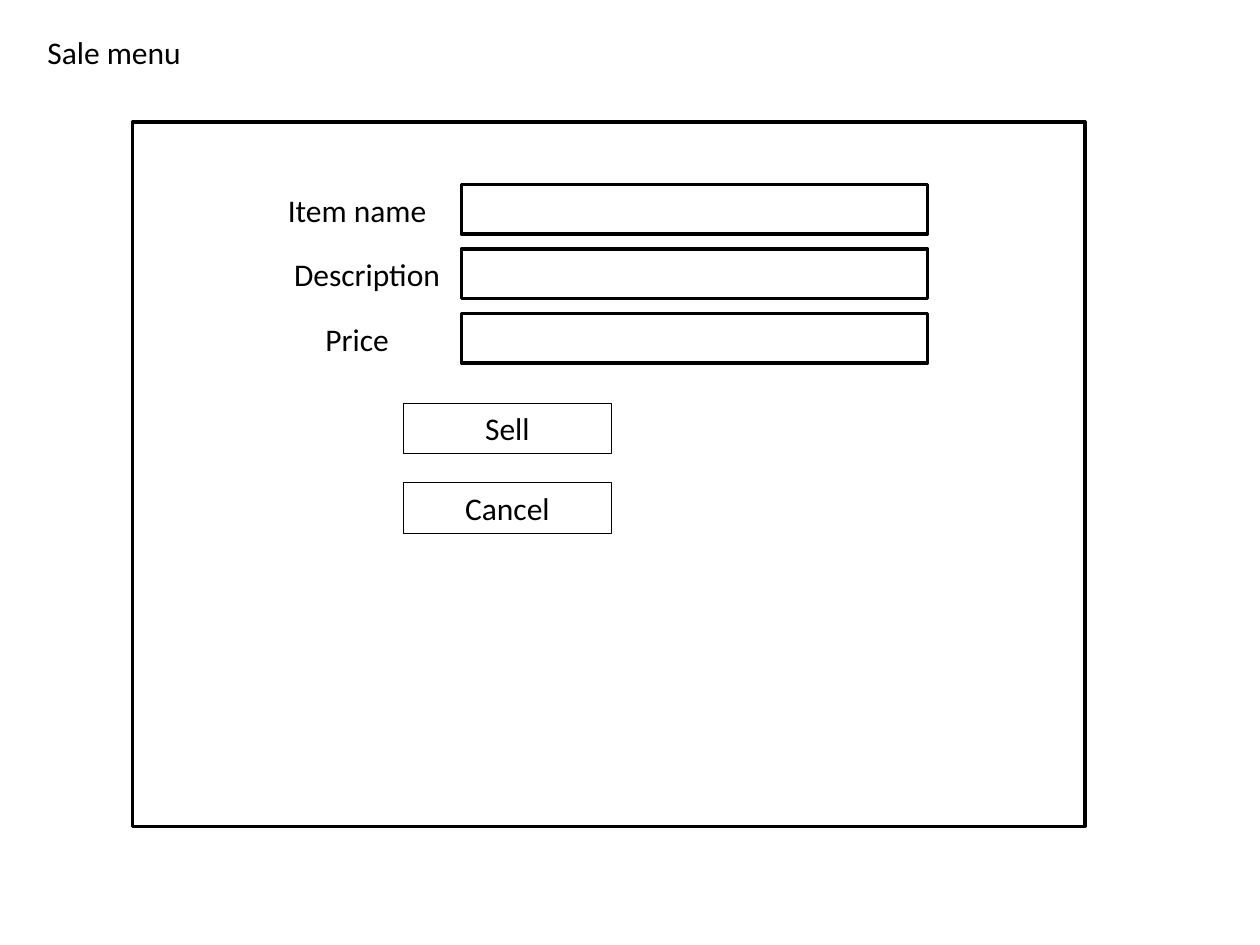
"""Build the wireframe slide of a sale menu."""
from dataclasses import dataclass

from pptx import Presentation
from pptx import util as u
from pptx.dml.color import RGBColor
from pptx.enum import shapes, text


@dataclass(frozen=True)
class Theme:
    """Colours, font and sizes shared by the slide."""
    ink: RGBColor = RGBColor(0, 0, 0)
    paper: RGBColor = RGBColor(255, 255, 255)
    font: str = "Calibri"
    size: u.Pt = u.Pt(18)
    heavy: u.Pt = u.Pt(2)
    thin: u.Pt = u.Pt(0.75)


THEME = Theme()
CENTER = text.PP_ALIGN.CENTER


def apply_format(target, values):
    """Set each named attribute on the target."""
    for name, value in values.items():
        setattr(target, name, value)


def lengths(box):
    """Turn centimetre numbers into lengths."""
    return [u.Cm(value) for value in box]


def write(holder, words, align, wrap=True):
    """Write one line of body text into a shape."""
    frame = holder.text_frame
    frame.text = words
    apply_format(frame, {
        "word_wrap": wrap,
        "auto_size": text.MSO_AUTO_SIZE.SHAPE_TO_FIT_TEXT,
        "vertical_anchor": text.MSO_ANCHOR.TOP,
    })
    line = frame.paragraphs[0]
    line.alignment = align
    font = line.runs[0].font
    apply_format(font, {"name": THEME.font, "size": THEME.size})
    font.color.rgb = THEME.ink


def set_title(slide, words, box):
    """Place and format the title placeholder."""
    heading = slide.shapes.title
    apply_format(heading, dict(zip(("left", "top", "width", "height"), lengths(box))))
    write(heading, words, text.PP_ALIGN.LEFT, wrap=False)


def add_panel(slide, box, weight, filled=True):
    """Draw an outlined rectangle."""
    panel = slide.shapes.add_shape(shapes.MSO_SHAPE.RECTANGLE, *lengths(box))
    panel.shadow.inherit = False
    if filled:
        panel.fill.solid()
        panel.fill.fore_color.rgb = THEME.paper
    else:
        panel.fill.background()
    panel.line.color.rgb = THEME.ink
    panel.line.width = weight
    return panel


def add_label(slide, words, box):
    """Add a centred field label."""
    write(slide.shapes.add_textbox(*lengths(box)), words, CENTER)


def add_button(slide, words, box):
    """Add a thinly outlined button with its caption."""
    write(add_panel(slide, box, THEME.thin, filled=False), words, CENTER)


def main():
    """Assemble and save the slide."""
    deck = Presentation()
    apply_format(deck, {"slide_width": u.Cm(25.4), "slide_height": u.Cm(19.05)})
    slide = deck.slides.add_slide(deck.slide_layouts[5])

    add_panel(slide, (2.67, 2.46, 19.2, 14.2), THEME.heavy)
    set_title(slide, "Sale menu", (0.7, 0.53, 3.23, 1.02))

    fields = (("Item name", 5.1), ("Description", 5.3), ("Price", 5.1))
    for row, (caption, left) in enumerate(fields):
        top = 3.72 + 1.3 * row
        add_panel(slide, (9.3, top, 9.4, 1), THEME.heavy)
        add_label(slide, caption, (left, top, 4.2, 1.02))

    for row, caption in enumerate(("Sell", "Cancel")):
        add_button(slide, caption, (8.13, 8.13 + 1.6 * row, 4.2, 1.02))

    deck.save("out.pptx")


if __name__ == "__main__":
    main()
